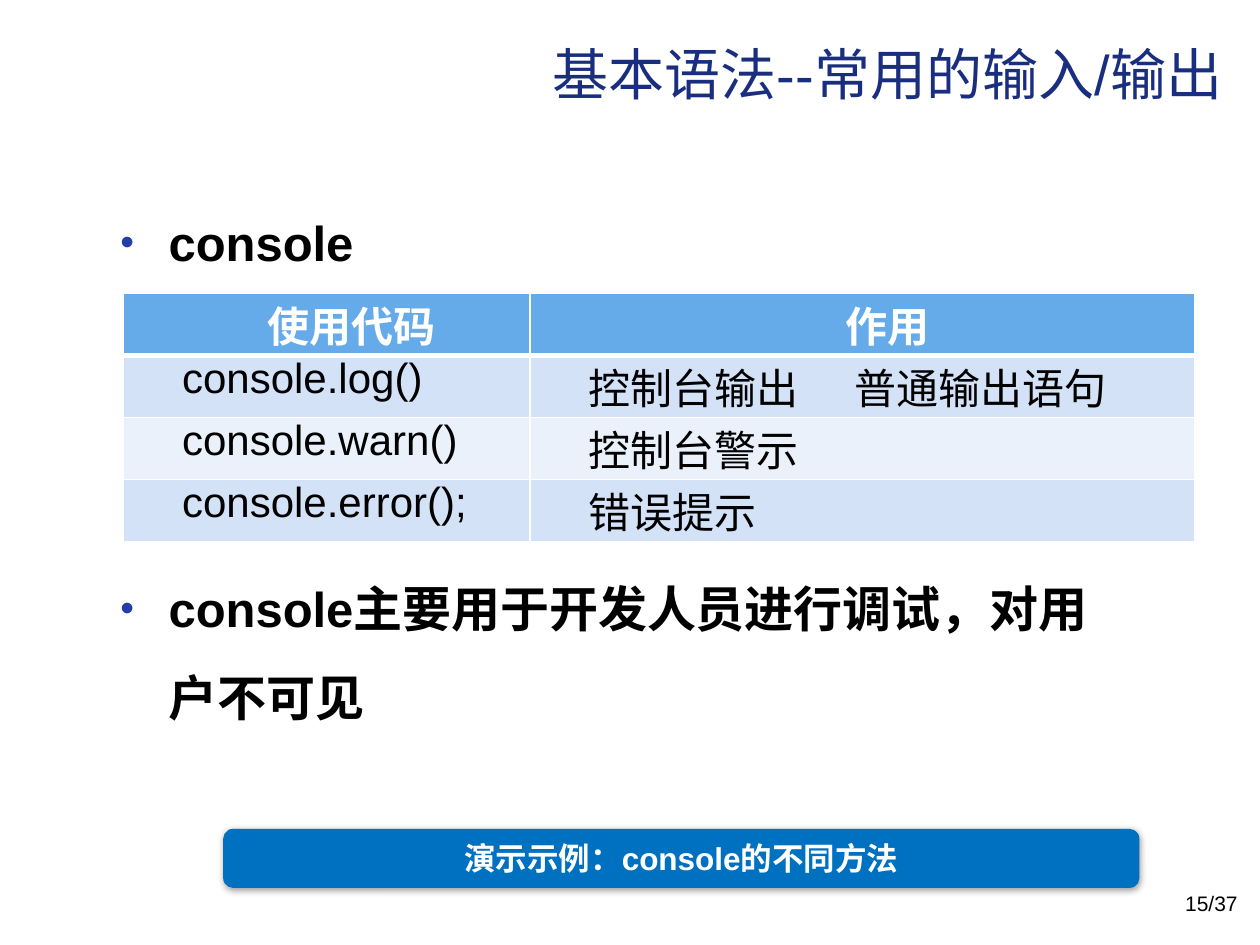
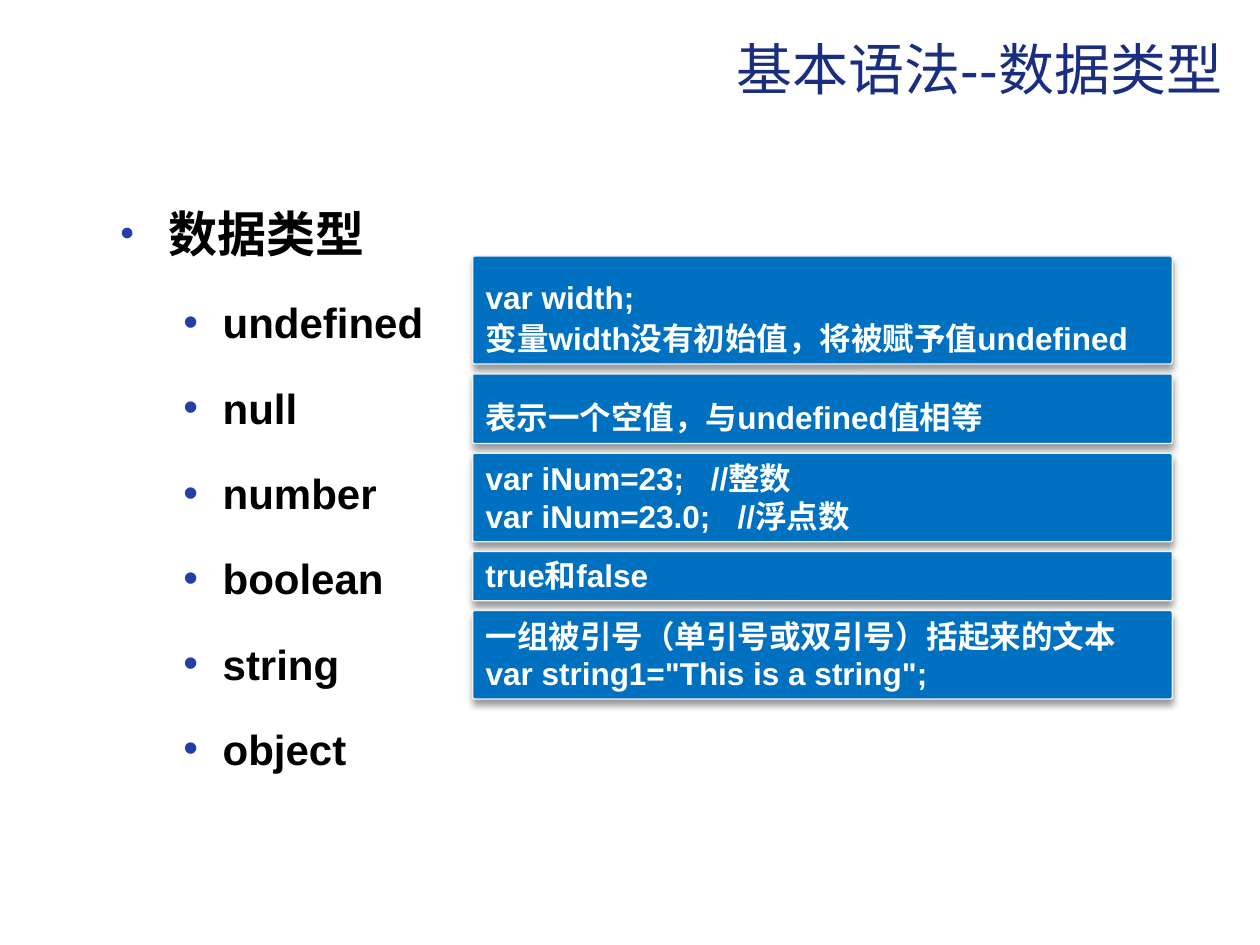
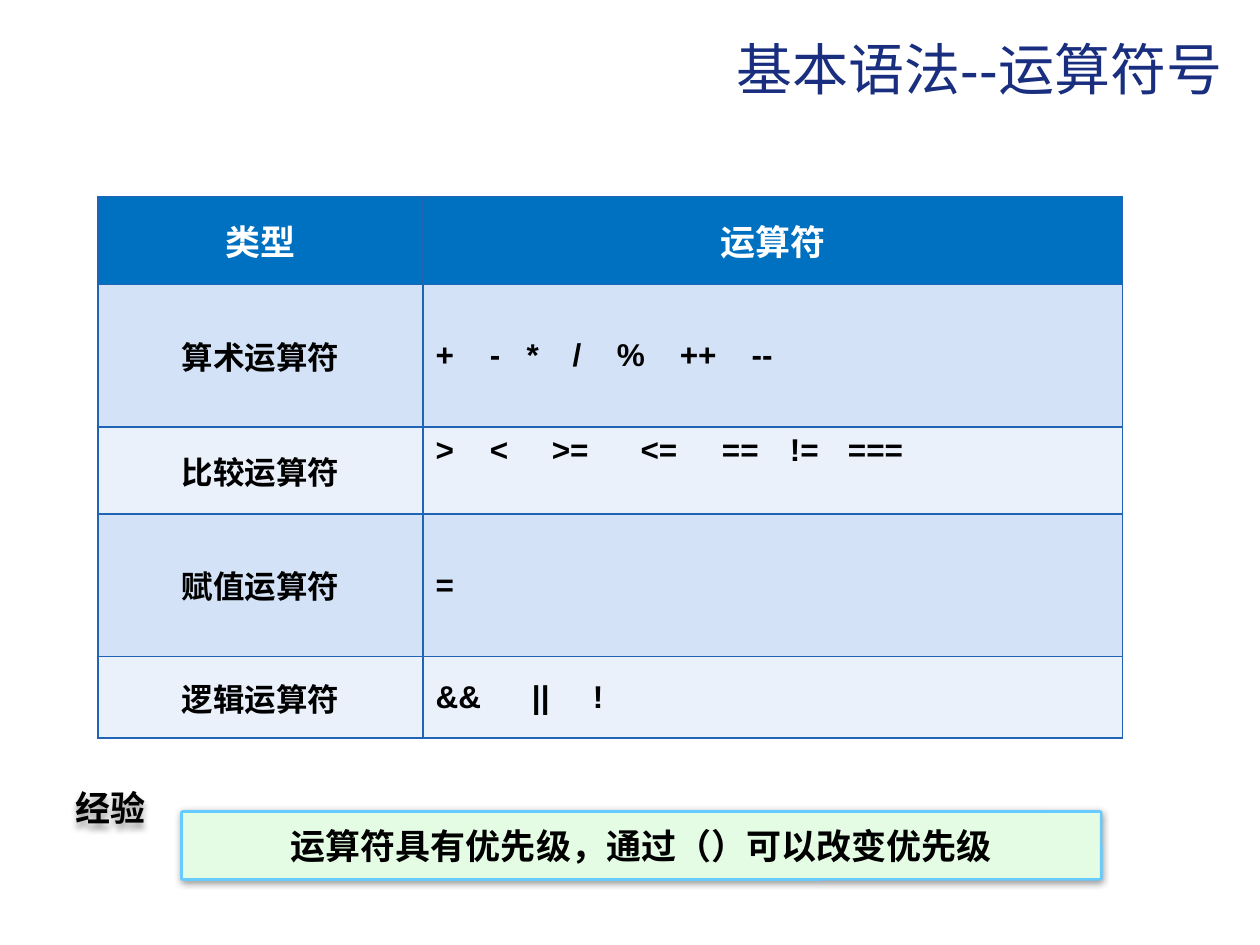
from lxml import etree
from pptx import Presentation
from pptx.dml.color import RGBColor
from pptx.enum.shapes import MSO_SHAPE
from pptx.enum.text import MSO_ANCHOR, PP_ALIGN
from pptx.oxml.ns import qn
from pptx.util import Cm, Pt

LEFT, CENTER, RIGHT = PP_ALIGN.LEFT, PP_ALIGN.CENTER, PP_ALIGN.RIGHT
TOP, MIDDLE, BOTTOM = MSO_ANCHOR.TOP, MSO_ANCHOR.MIDDLE, MSO_ANCHOR.BOTTOM
ROUNDED = MSO_SHAPE.ROUNDED_RECTANGLE
PILL = MSO_SHAPE.FLOWCHART_ALTERNATE_PROCESS

FONT = "Arial"
CJK_FONT = "Noto Sans CJK SC"
BLACK = RGBColor(0x00, 0x00, 0x00)
WHITE = RGBColor(0xFF, 0xFF, 0xFF)
NAVY = RGBColor(0x1A, 0x2E, 0x7F)
BULLET_BLUE = RGBColor(0x23, 0x3D, 0xA9)
BLUE = RGBColor(0x00, 0x70, 0xC0)
SKY = RGBColor(0x65, 0xAA, 0xE9)
BANDS = [RGBColor(0xD3, 0xE2, 0xF7), RGBColor(0xEA, 0xF1, 0xFB)]
GRID_BLUE = RGBColor(0x21, 0x63, 0xB4)
BOX_EDGE = RGBColor(0xF2, 0xF2, 0xF2)
MINT = RGBColor(0xE4, 0xFC, 0xE4)
CYAN = RGBColor(0x66, 0xCC, 0xFF)
CHARCOAL = RGBColor(0x26, 0x26, 0x26)

BULLET_LEVELS = [
    {"size": 28, "margin": 0.97, "hang": 0.97, "percent": 80},
    {"size": 24, "margin": 2.06, "hang": 0.79, "percent": 100},
]

CONSOLE_ROWS = [
    ("使用代码", "作用"),
    ("console.log()", "控制台输出\t普通输出语句"),
    ("console.warn()", "控制台警示"),
    ("console.error();", "错误提示"),
]
CONSOLE_BULLETS = [
    (3.56, 18.72, "console"),
    (10.95, 20.52, "console主要用于开发人员进行调试，对用户不可见"),
]

DATA_TYPES = ["undefined", "null", "number", "boolean", "string", "object"]
TYPE_NOTES = [
    (2.18, 0.9, [("var width;", []),
                 ("变量width没有初始值，将被赋予值undefined", [])]),
    (1.4, 0.9, [("表示一个空值，与undefined值相等", [])]),
    (1.78, 1, [("var iNum=23;\t//整数", [4.54]),
               ("var iNum=23.0;\t//浮点数", [5.08])]),
    (0.99, 1, [("true和false", [])]),
    (1.78, 1, [("一组被引号（单引号或双引号）括起来的文本", []),
               ('var string1="This is a string";', [])]),
]

OPERATOR_ROWS = [
    (1.78, "类型", ["运算符"], [], MIDDLE),
    (2.87, "算术运算符", ["+", "-", "*", "/", "%", "++", "--"],
     [1.09, 1.83, 2.76, 3.65, 4.92, 6.37], MIDDLE),
    (1.75, "比较运算符", [">", "<", ">=", "<=", "==", "!=", "==="],
     [1.09, 2.34, 4.13, 5.77, 7.14, 8.31], TOP),
    (2.87, "赋值运算符", ["="], [], MIDDLE),
    (1.65, "逻辑运算符", ["&&", "||", "!"], [1.94, 3.17], MIDDLE),
]


def add_node(parent, tag, **attributes):
    node = etree.SubElement(parent, qn(tag))
    for name, value in attributes.items():
        node.set(name, str(value))
    return node


def write(para, text, size, color, bold=False, align=LEFT, font=FONT, tabs=()):
    para.add_run().text = text
    para.alignment = align
    if tabs:
        stops = add_node(para._p.get_or_add_pPr(), "a:tabLst")
        for position in tabs:
            add_node(stops, "a:tab", pos=Cm(position), algn="l")
    para.font.name = font
    para.font.size = Pt(size)
    para.font.bold = bold
    para.font.color.rgb = color


def write_bullet(para, text, level):
    style = BULLET_LEVELS[level]
    para.line_spacing = 1.5
    para.space_before = Pt(style["size"] * 0.23)
    properties = para._p.get_or_add_pPr()
    properties.set("marL", str(Cm(style["margin"])))
    properties.set("indent", str(-Cm(style["hang"])))
    add_node(add_node(properties, "a:buClr"), "a:srgbClr", val=BULLET_BLUE)
    add_node(properties, "a:buSzPct", val=style["percent"] * 1000)
    add_node(properties, "a:buFont", typeface=FONT)
    add_node(properties, "a:buChar", char="•")
    write(para, text, style["size"], BLACK, bold=True)


def add_text_box(page, left, top, width, height, anchor=TOP, wrap=True):
    box = page.shapes.add_textbox(Cm(left), Cm(top), Cm(width), Cm(height))
    box.text_frame.word_wrap = wrap
    box.text_frame.vertical_anchor = anchor
    return box


def add_title(page, text, top=0.58, anchor=TOP):
    box = add_text_box(page, 2.03, top, 22.86, 2.49, anchor)
    write(box.text_frame.paragraphs[0], text, 32, NAVY, align=RIGHT)


def cast_shadow(shape, color, alpha, distance):
    effects = add_node(shape._element.spPr, "a:effectLst")
    shadow = add_node(effects, "a:outerShdw", blurRad=Pt(4), dist=Pt(distance),
                      dir=90 * 60000, algn="t", rotWithShape=0)
    add_node(add_node(shadow, "a:srgbClr", val=color), "a:alpha", val=alpha * 1000)


def add_panel(page, kind, place, fill, anchor, edge=None, edge_width=0.75,
              shadow=(BLACK, 40, 3)):
    panel = page.shapes.add_shape(kind, *(Cm(length) for length in place))
    if kind == ROUNDED:
        panel.adjustments[0] = 0.02
    panel.fill.solid()
    panel.fill.fore_color.rgb = fill
    if edge is None:
        panel.line.fill.background()
    else:
        panel.line.color.rgb = edge
        panel.line.width = Pt(edge_width)
    cast_shadow(panel, *shadow)
    panel.text_frame.word_wrap = True
    panel.text_frame.vertical_anchor = anchor
    return panel.text_frame


def add_grid(page, left, top, widths, heights):
    table = page.shapes.add_table(
        len(heights), len(widths), Cm(left), Cm(top),
        Cm(sum(widths)), Cm(sum(heights))).table
    for column, width in zip(table.columns, widths):
        column.width = Cm(width)
    for row, height in zip(table.rows, heights):
        row.height = Cm(height)
    return table


def paint_cell(cell, fill, border, top=1, bottom=1):
    properties = cell._tc.get_or_add_tcPr()
    for side, width in (("L", 1), ("R", 1), ("T", top), ("B", bottom)):
        line = add_node(properties, f"a:ln{side}", w=Pt(width))
        add_node(add_node(line, "a:solidFill"), "a:srgbClr", val=border)
    cell.fill.solid()
    cell.fill.fore_color.rgb = fill


def build_console(page):
    number = add_text_box(page, 19.28, 17.83, 5.92, 1.02)
    write(number.text_frame.paragraphs[0], "15/37", 12, BLACK, align=RIGHT)
    add_title(page, "基本语法--常用的输入/输出", 0.23, MIDDLE)
    table = add_grid(page, 2.49, 5.92, [8.2, 13.4], [1.25] * len(CONSOLE_ROWS))
    for r, texts in enumerate(CONSOLE_ROWS):
        header = r == 0
        for c, text in enumerate(texts):
            cell = table.cell(r, c)
            paint_cell(cell, SKY if header else BANDS[(r - 1) % 2], WHITE,
                       top=3 if r == 1 else 1, bottom=3 if header else 1)
            cell.margin_left = cell.margin_right = Cm(0.18)
            cell.margin_top = cell.margin_bottom = 0
            para = cell.text_frame.paragraphs[0]
            para._p.get_or_add_pPr().set("indent", str(Cm(1)))
            write(para, text, 24, WHITE if header else BLACK, header,
                  CENTER if header else LEFT, tabs=[5.6] if "\t" in text else ())
    for top, width, text in CONSOLE_BULLETS:
        box = add_text_box(page, 2.18, top, width, 1.57)
        write_bullet(box.text_frame.paragraphs[0], text, 0)
    frame = add_panel(page, PILL, (4.5, 16.71, 18.47, 1.19), BLUE, MIDDLE,
                      shadow=(CHARCOAL, 43, 1))
    write(frame.paragraphs[0], "演示示例：console的不同方法", 18, WHITE, True, CENTER)


def build_data_types(page):
    add_title(page, "基本语法--数据类型")
    frame = add_text_box(page, 2.18, 3.38, 21.23, 13.92).text_frame
    write_bullet(frame.paragraphs[0], "数据类型", 0)
    for name in DATA_TYPES:
        write_bullet(frame.add_paragraph(), name, 1)
    top, gap = 5.16, 0.2
    for height, spacing, lines in TYPE_NOTES:
        frame = add_panel(page, ROUNDED, (9.53, top, 14.1, height), BLUE, BOTTOM, BOX_EDGE)
        for i, (text, tabs) in enumerate(lines):
            para = frame.add_paragraph() if i else frame.paragraphs[0]
            if spacing < 1:
                para.line_spacing = spacing
                para.space_before = Pt(4)
            write(para, text, 18, WHITE, True, tabs=tabs)
        top += height + gap


def build_operators(page):
    add_title(page, "基本语法--运算符号")
    table = add_grid(page, 1.98, 3.96, [6.55, 14.1], [row[0] for row in OPERATOR_ROWS])
    for r, (_, kind, operators, tabs, anchor) in enumerate(OPERATOR_ROWS):
        header = r == 0
        size, color = (20, WHITE) if header else (18, BLACK)
        for c, text in enumerate((kind, "\t".join(operators))):
            cell = table.cell(r, c)
            paint_cell(cell, BLUE if header else BANDS[(r - 1) % 2], GRID_BLUE)
            cell.vertical_anchor = anchor if c else MIDDLE
            write(cell.text_frame.paragraphs[0], text, size, color, True,
                  CENTER if header or c == 0 else LEFT, tabs=tabs if c else ())
    label = add_text_box(page, 1.27, 15.72, 1.96, 1.12, MIDDLE, wrap=False)
    cast_shadow(label, BLACK, 40, 3)
    write(label.text_frame.paragraphs[0], "经验", 20, BLACK, True, font=CJK_FONT)
    frame = add_panel(page, ROUNDED, (3.66, 16.36, 18.54, 1.37), MINT, MIDDLE,
                      CYAN, 1.5, (BLACK, 40, 1))
    write(frame.paragraphs[0], "运算符具有优先级，通过（）可以改变优先级", 20, BLACK, True, CENTER)


def main():
    deck = Presentation()
    deck.slide_width, deck.slide_height = Cm(25.4), Cm(19.05)
    for build in (build_console, build_data_types, build_operators):
        build(deck.slides.add_slide(deck.slide_layouts[6]))
    deck.save("out.pptx")


if __name__ == "__main__":
    main()
